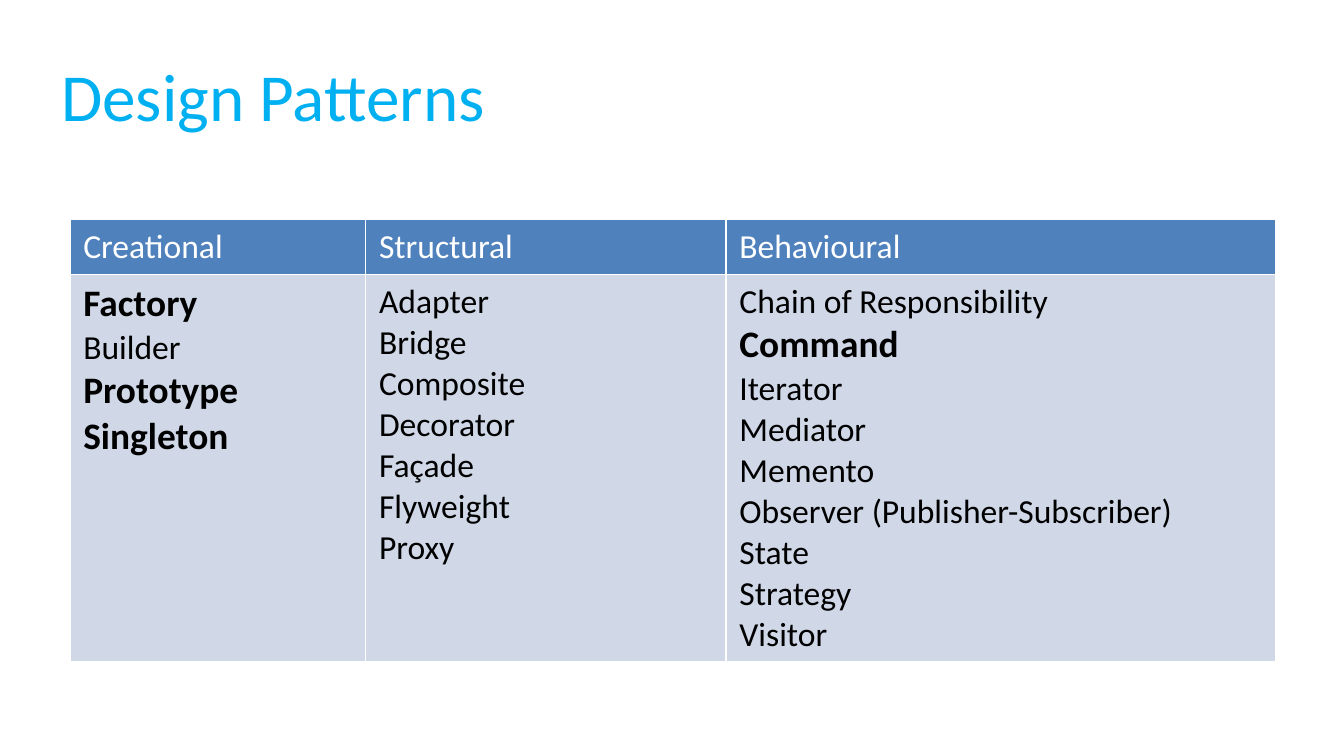
from dataclasses import dataclass

from lxml import etree
from pptx import Presentation
from pptx.dml.color import RGBColor
from pptx.enum import text
from pptx.oxml.ns import qn
from pptx.util import Cm, Pt


@dataclass(frozen=True)
class Theme:
    font: str = "Calibri"
    title: str = "00B0F0"
    head: str = "4F81BD"
    body: str = "D0D8E8"
    light: str = "FFFFFF"
    dark: str = "000000"
    big: int = 36
    strong: int = 20
    base: int = 18
    rule: int = 1


@dataclass(frozen=True)
class Group:
    name: str
    width: float
    items: tuple[str, ...]


THEME = Theme()
KEY = {"Factory", "Prototype", "Singleton", "Command"}
GROUPS = (
    Group("Creational", 5.59, ("Factory", "Builder", "Prototype", "Singleton")),
    Group("Structural", 6.81, ("Adapter", "Bridge", "Composite", "Decorator",
                               "Façade", "Flyweight", "Proxy")),
    Group("Behavioural", 10.4, ("Chain of Responsibility", "Command", "Iterator",
                                "Mediator", "Memento",
                                "Observer (Publisher-Subscriber)", "State",
                                "Strategy", "Visitor")),
)
HEIGHTS = (1.04, 7.28)


def write(para, words: str, *, size: int = THEME.base, color: str = THEME.dark,
          bold: bool = False) -> None:
    run = para.add_run()
    run.text = words
    font = run.font
    font.name, font.size, font.bold = THEME.font, Pt(size), bold
    font.color.rgb = RGBColor.from_string(color)


def paint(cell, color: str) -> None:
    """Fill the cell and rule its four sides."""
    props = cell._tc.get_or_add_tcPr()
    for side in ("lnL", "lnR", "lnT", "lnB"):
        line = etree.SubElement(props, qn(f"a:{side}"), w=str(Pt(THEME.rule)))
        fill = etree.SubElement(line, qn("a:solidFill"))
        etree.SubElement(fill, qn("a:srgbClr"), val=THEME.light)
    cell.fill.solid()
    cell.fill.fore_color.rgb = RGBColor.from_string(color)


def add_title(slide, words: str) -> None:
    title = slide.shapes.title
    title.left, title.top = Cm(0.9), Cm(0.58)
    title.width, title.height = Cm(23.24), Cm(2.4)
    frame = title.text_frame
    frame.vertical_anchor = text.MSO_ANCHOR.MIDDLE
    para = frame.paragraphs[0]
    para.alignment = text.PP_ALIGN.LEFT
    write(para, words, size=THEME.big, color=THEME.title)


def add_grid(slide, groups: tuple[Group, ...]) -> None:
    width = sum(group.width for group in groups)
    grid = slide.shapes.add_table(len(HEIGHTS), len(groups), Cm(1.32), Cm(4.15),
                                  Cm(width), Cm(sum(HEIGHTS))).table
    for row, height in zip(grid.rows, HEIGHTS):
        row.height = Cm(height)
    for col, group in enumerate(groups):
        grid.columns[col].width = Cm(group.width)
        head, body = grid.cell(0, col), grid.cell(1, col)
        paint(head, THEME.head)
        paint(body, THEME.body)
        write(head.text_frame.paragraphs[0], group.name, color=THEME.light)
        frame = body.text_frame
        for i, item in enumerate(group.items):
            para = frame.add_paragraph() if i else frame.paragraphs[0]
            key = item in KEY
            write(para, item, size=THEME.strong if key else THEME.base, bold=key)


def main() -> None:
    deck = Presentation()
    deck.slide_width, deck.slide_height = Cm(25.4), Cm(14.29)
    slide = deck.slides.add_slide(deck.slide_layouts[5])
    add_title(slide, "Design Patterns")
    add_grid(slide, GROUPS)
    deck.save("out.pptx")


if __name__ == "__main__":
    main()
